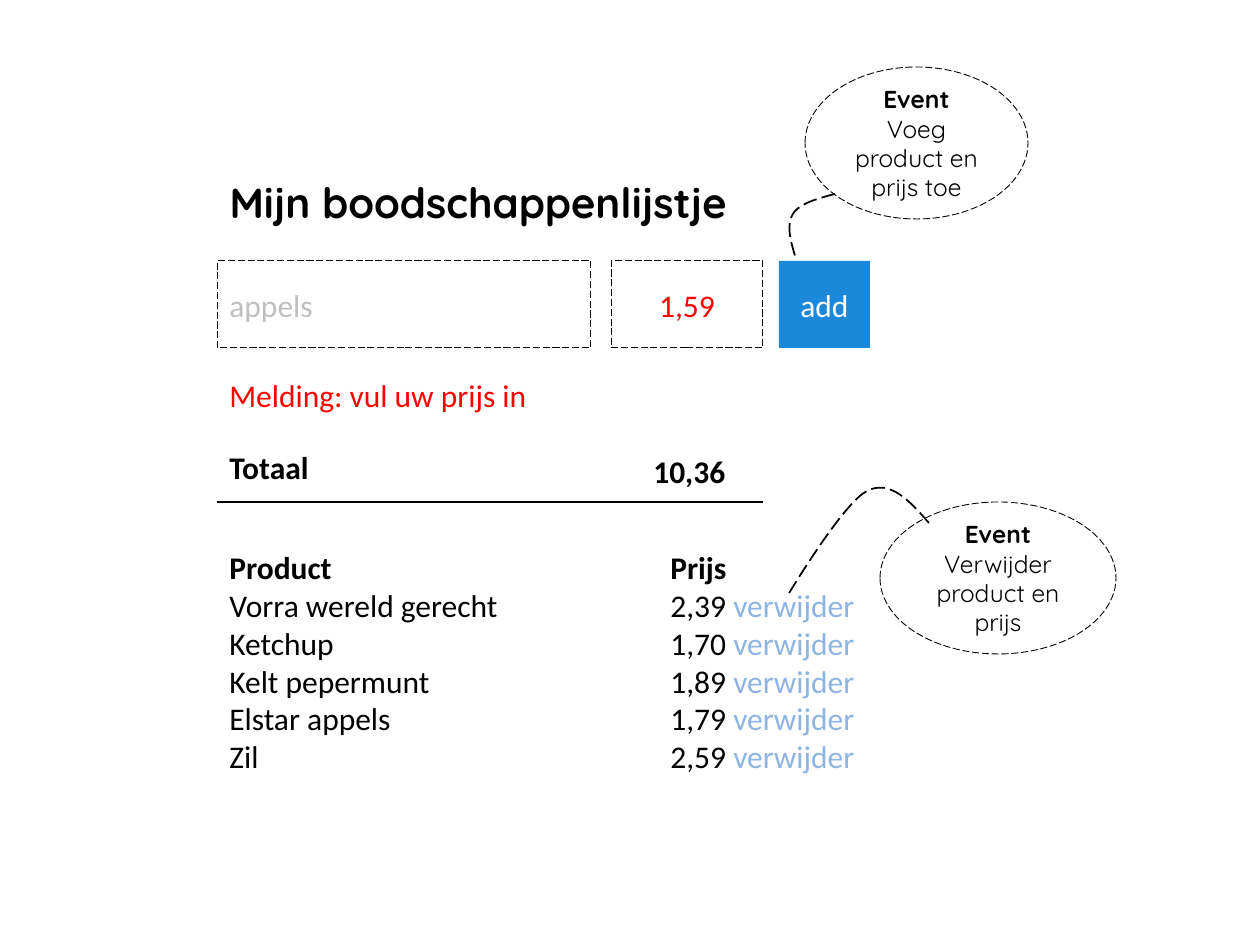
from pptx import Presentation
from pptx.dml.color import RGBColor
from pptx.enum.dml import MSO_LINE
from pptx.enum.shapes import MSO_CONNECTOR, MSO_SHAPE
from pptx.enum.text import MSO_ANCHOR, MSO_AUTO_SIZE, PP_ALIGN
from pptx.oxml.ns import qn
from pptx.util import Inches, Pt
from lxml.etree import SubElement

BLACK = RGBColor(0, 0, 0)
WHITE = RGBColor(255, 255, 255)
GREY = RGBColor(0xBF, 0xBF, 0xBF)
RED = RGBColor(255, 0, 0)
BLUE = RGBColor(0x1C, 0x88, 0xDA)
LINK = RGBColor(0x8E, 0xB4, 0xE3)
SCALE = Inches(1) / 126
STEPS = 16

ITEMS = [
    ("Vorra wereld gerecht", "2,39"),
    ("Ketchup", "1,70"),
    ("Kelt pepermunt", "1,89"),
    ("Elstar appels", "1,79"),
    ("Zil", "2,59"),
]


def emu(*nums):
    return [round(n * SCALE) for n in nums]


def style(para, color=BLACK, bold=False, size=18, name="Calibri", align=PP_ALIGN.LEFT):
    font = para.font
    font.name, font.size, font.bold = name, Pt(size), bold
    font.color.rgb = color
    para.alignment = align


def dash(shape, width):
    shape.line.color.rgb = BLACK
    shape.line.width = Pt(width)
    shape.line.dash_style = MSO_LINE.LONG_DASH


def label(slide, box, text, wrap=False, **look):
    frame = slide.shapes.add_textbox(*emu(*box)).text_frame
    frame.word_wrap = wrap
    frame.auto_size = MSO_AUTO_SIZE.SHAPE_TO_FIT_TEXT
    frame.text = text
    style(frame.paragraphs[0], **look)
    return frame


def panel(slide, kind, box, lines, fill=None):
    shape = slide.shapes.add_shape(kind, *emu(*box))
    shape.shadow.inherit = False
    if fill is None:
        shape.fill.background()
        dash(shape, 0.5)
    else:
        shape.fill.solid()
        shape.fill.fore_color.rgb = fill
        shape.line.fill.background()
    frame = shape.text_frame
    frame.word_wrap = True
    frame.vertical_anchor = MSO_ANCHOR.MIDDLE
    frame.text = "\n".join(text for text, look in lines)
    for para, (text, look) in zip(frame.paragraphs, lines):
        style(para, **look)


def curve(slide, x, y, points):
    dots = [(x + dx, y + dy) for dx, dy in points]
    track = [dots[0]]
    for start in range(0, len(dots) - 1, 3):
        a, b, c, d = dots[start:start + 4]
        for step in range(1, STEPS + 1):
            t = step / STEPS
            u = 1 - t
            track.append(tuple(
                u**3 * p + 3 * u * u * t * q + 3 * u * t * t * r + t**3 * s
                for p, q, r, s in zip(a, b, c, d)
            ))
    track = [emu(*dot) for dot in track]
    draw = slide.shapes.build_freeform(*track[0], scale=1.0)
    draw.add_line_segments(track[1:], close=False)
    shape = draw.convert_to_shape()
    shape.shadow.inherit = False
    shape.fill.background()
    dash(shape, 1)


def head(slide, box):
    title = slide.shapes.title
    title.left, title.top, title.width, title.height = emu(*box)
    frame = title.text_frame
    frame.text = "Mijn boodschappenlijstje"
    frame.word_wrap = False
    frame.auto_size = MSO_AUTO_SIZE.NONE
    frame.vertical_anchor = MSO_ANCHOR.TOP
    style(frame.paragraphs[0], bold=True, size=24, name="Quicksand")


def form(slide, box):
    x, y, wide, high = box
    mid = PP_ALIGN.CENTER
    fields = [
        (0, 374, "appels", GREY, PP_ALIGN.LEFT, None),
        (394, 152, "1,59", RED, mid, None),
        (562, 91, "add", WHITE, mid, BLUE),
    ]
    for left, width, text, color, align, fill in fields:
        look = dict(color=color, align=align)
        panel(slide, MSO_SHAPE.RECTANGLE, (x + left, y, width, 87), [(text, look)], fill)
    label(slide, (x, y + 109, wide, 50), "Melding: vul uw prijs in", True, color=RED)


def total(slide, box):
    x, y, wide, high = box
    label(slide, (x, y, 108, 50), "Totaal", bold=True)
    label(slide, (x + 424, y + 4, 98, 50), "10,36", bold=True)
    rule = slide.shapes.add_connector(
        MSO_CONNECTOR.STRAIGHT, *emu(x, y + high, x + wide, y + high))
    rule.line.color.rgb = BLACK
    rule.line.width = Pt(1)
    SubElement(rule.element.spPr, qn("a:effectLst"))


def goods(slide, box):
    frame = label(slide, box, "Product\tPrijs", True, bold=True)
    for name, price in ITEMS:
        para = frame.add_paragraph()
        style(para)
        para.add_run().text = f"{name}\t{price}\t"
        link = para.add_run()
        link.text = "verwijder"
        link.font.color.rgb = LINK
    for para in frame.paragraphs:
        stops = SubElement(para.font._element.getparent(), qn("a:tabLst"))
        stops.getparent().insert(0, stops)
        for stop in emu(441, 504):
            SubElement(stops, qn("a:tab"), pos=str(stop), algn="l")


def note(slide, box, text, points):
    look = dict(size=14, name="Quicksand", align=PP_ALIGN.CENTER)
    lines = [("Event", dict(look, bold=True)), (text, look)]
    panel(slide, MSO_SHAPE.OVAL, box, lines)
    curve(slide, box[0], box[1], points)


deck = Presentation()
deck.slide_width, deck.slide_height = Inches(10), Inches(7.5)
page = deck.slides.add_slide(deck.slide_layouts[5])
head(page, (217, 170, 541, 63))
form(page, (217, 261, 653, 159))
total(page, (217, 442, 546, 60))
goods(page, (217, 542, 653, 242))
note(page, (805, 67, 223, 152), "Voeg product en prijs toe",
     [(30, 127), (11, 132), (-6, 137), (-12, 147), (-19, 159), (-14, 175), (-9, 192)])
note(page, (880, 502, 236, 152), "Verwijder product en prijs",
     [(49, 21), (30, -1), (10, -23), (-13, -11), (-37, 1), (-92, 93), (-92, 93)])
deck.save("out.pptx")
